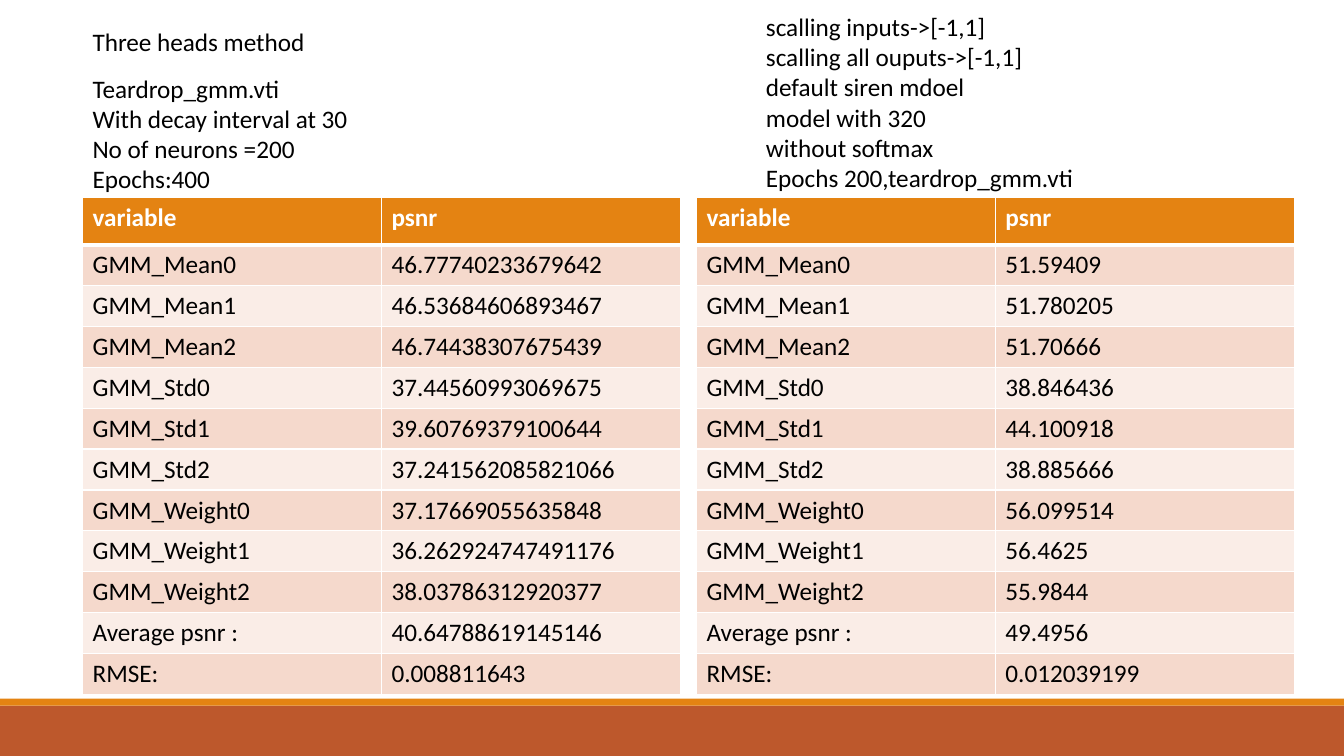
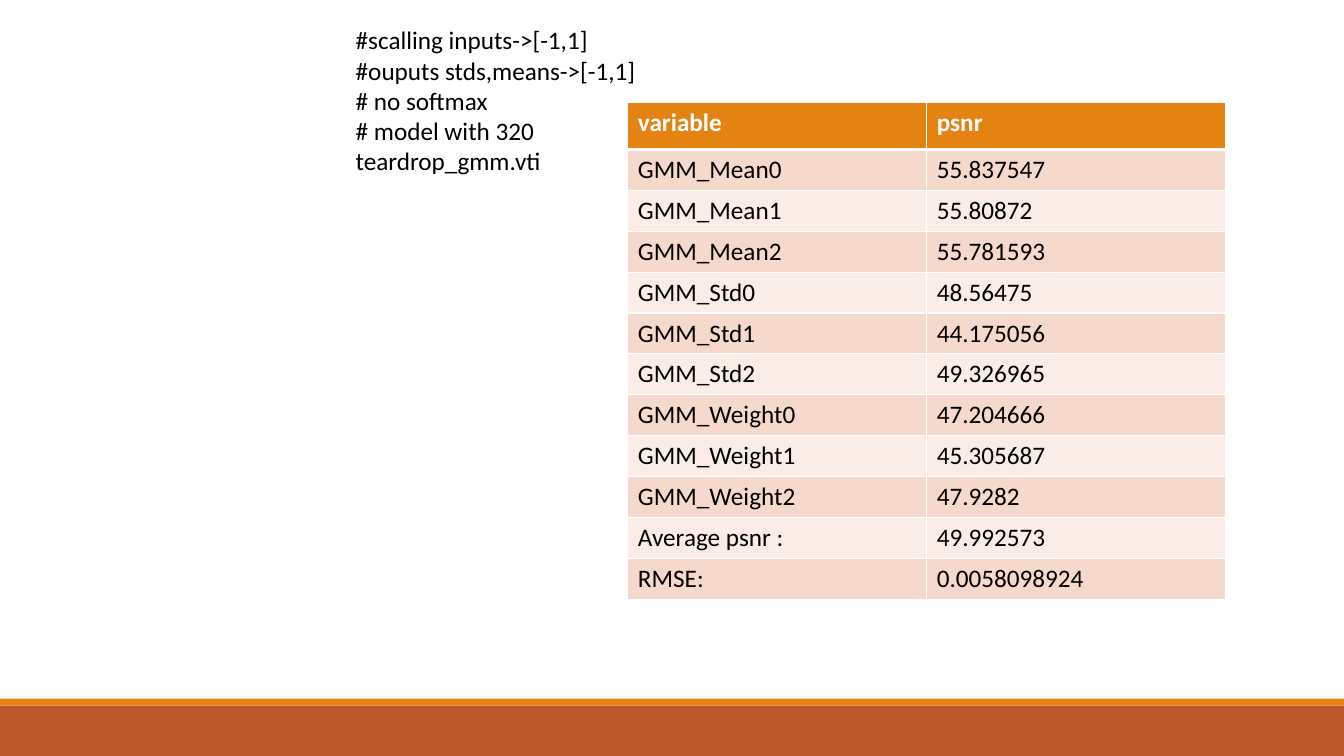
import dataclasses

import pptx
import pptx.dml.color
import pptx.enum.shapes
import pptx.enum.text
import pptx.oxml.xmlchemy
import pptx.util
from lxml import etree
from pptx.oxml import ns

Pt = pptx.util.Pt


@dataclasses.dataclass(frozen=True)
class Theme:
    font: str = "Calibri"
    size: float = 18
    line_height: float = 21.8
    text: str = "000000"
    light: str = "FFFFFF"
    accent: str = "E48312"
    footer: str = "BD582C"
    stripes: tuple = ("F5D9CC", "FAEDE7")
    thin: float = 1
    thick: float = 3


WIDTH, HEIGHT = 960, 540
FOOTER_HEIGHT, STRIP_HEIGHT = 36, 5
COLUMN_WIDTH = 213.5
HEADER_ROW, BODY_ROW = 33.8, 29.2
BOX_PADDING = 7.2

HEADINGS = ("variable", "psnr")
VARIABLES = [f"GMM_{kind}{index}" for kind in ("Mean", "Std", "Weight") for index in range(3)]
VARIABLES += ["Average psnr :", "RMSE:"]

THREE_HEADS = (
    "46.77740233679642", "46.53684606893467", "46.74438307675439",
    "37.44560993069675", "39.60769379100644", "37.241562085821066",
    "37.17669055635848", "36.262924747491176", "38.03786312920377",
    "40.64788619145146", "0.008811643",
)
ALL_SCALED = (
    "51.59409", "51.780205", "51.70666", "38.846436", "44.100918", "38.885666",
    "56.099514", "56.4625", "55.9844", "49.4956", "0.012039199",
)
STDS_MEANS_SCALED = (
    "55.837547", "55.80872", "55.781593", "48.56475", "44.175056", "49.326965",
    "47.204666", "45.305687", "47.9282", "49.992573", "0.0058098924",
)


def rgb(value):
    return pptx.dml.color.RGBColor.from_string(value)


class Deck:
    def __init__(self, theme):
        self.theme = theme
        self.presentation = pptx.Presentation()
        self.presentation.slide_width = Pt(WIDTH)
        self.presentation.slide_height = Pt(HEIGHT)
        self.slide = None

    def new_slide(self):
        """Start a blank slide with the two footer bands."""
        self.slide = self.presentation.slides.add_slide(self.presentation.slide_layouts[6])
        footer_top = HEIGHT - FOOTER_HEIGHT
        self.band(footer_top, FOOTER_HEIGHT, self.theme.footer)
        self.band(footer_top - STRIP_HEIGHT, STRIP_HEIGHT, self.theme.accent)

    def band(self, top, height, color):
        shape = self.slide.shapes.add_shape(
            pptx.enum.shapes.MSO_SHAPE.RECTANGLE, 0, Pt(top), Pt(WIDTH), Pt(height))
        shape.shadow.inherit = False
        shape.fill.solid()
        shape.fill.fore_color.rgb = rgb(color)
        shape.line.fill.background()

    def run(self, paragraph, text, color, bold=False):
        run = paragraph.add_run()
        run.text = text
        run.font.name = self.theme.font
        run.font.size = Pt(self.theme.size)
        run.font.bold = bold
        run.font.color.rgb = rgb(color)

    def text(self, left, top, width, lines):
        height = len(lines) * self.theme.line_height + BOX_PADDING
        box = self.slide.shapes.add_textbox(Pt(left), Pt(top), Pt(width), Pt(height))
        frame = box.text_frame
        frame.word_wrap = True
        frame.auto_size = pptx.enum.text.MSO_AUTO_SIZE.SHAPE_TO_FIT_TEXT
        for index, line in enumerate(lines):
            paragraph = frame.add_paragraph() if index else frame.paragraphs[0]
            self.run(paragraph, line, self.theme.text)

    def borders(self, cell, top, bottom):
        properties = cell._tc.get_or_add_tcPr()
        thin = self.theme.thin
        for side, width in (("L", thin), ("R", thin), ("T", top), ("B", bottom)):
            line = etree.SubElement(properties, ns.qn(f"a:ln{side}"), w=str(Pt(width)))
            fill = etree.SubElement(line, ns.qn("a:solidFill"))
            etree.SubElement(fill, ns.qn("a:srgbClr"), val=self.theme.light)

    def table(self, left, top, values):
        """Add a psnr table: a heading row, then one striped row per variable."""
        theme = self.theme
        rows = [HEADINGS, *zip(VARIABLES, values)]
        height = HEADER_ROW + BODY_ROW * len(values)
        table = self.slide.shapes.add_table(
            len(rows), len(HEADINGS), Pt(left), Pt(top),
            Pt(COLUMN_WIDTH * len(HEADINGS)), Pt(height)).table
        table.horz_banding = False
        for column in table.columns:
            column.width = Pt(COLUMN_WIDTH)
        for index, row in enumerate(rows):
            header = index == 0
            table.rows[index].height = Pt(HEADER_ROW if header else BODY_ROW)
            fill = theme.accent if header else theme.stripes[(index - 1) % 2]
            for column, text in enumerate(row):
                cell = table.cell(index, column)
                self.borders(cell, theme.thick if index == 1 else theme.thin,
                             theme.thick if header else theme.thin)
                cell.fill.solid()
                cell.fill.fore_color.rgb = rgb(fill)
                self.run(cell.text_frame.paragraphs[0], text,
                         theme.light if header else theme.text, header)


def main():
    deck = Deck(Theme())

    deck.new_slide()
    deck.text(59, 15, 456, ["Three heads method"])
    deck.text(59, 48.5, 298, [
        "Teardrop_gmm.vti", "With decay interval at 30", "No of neurons =200", "Epochs:400"])
    deck.table(59, 141, THREE_HEADS)
    deck.text(540, 4.5, 342, [
        "scalling inputs->[-1,1]", "scalling all ouputs->[-1,1]", "default siren mdoel",
        "model with 320", "without softmax", "Epochs 200,teardrop_gmm.vti"])
    deck.table(497.5, 141, ALL_SCALED)

    deck.new_slide()
    deck.text(247, 14, 546, [
        "#scalling inputs->[-1,1]", "#ouputs stds,means->[-1,1]", "# no softmax",
        "# model with 320", "teardrop_gmm.vti"])
    deck.table(448.5, 73, STDS_MEANS_SCALED)

    deck.presentation.save("out.pptx")


if __name__ == "__main__":
    main()
